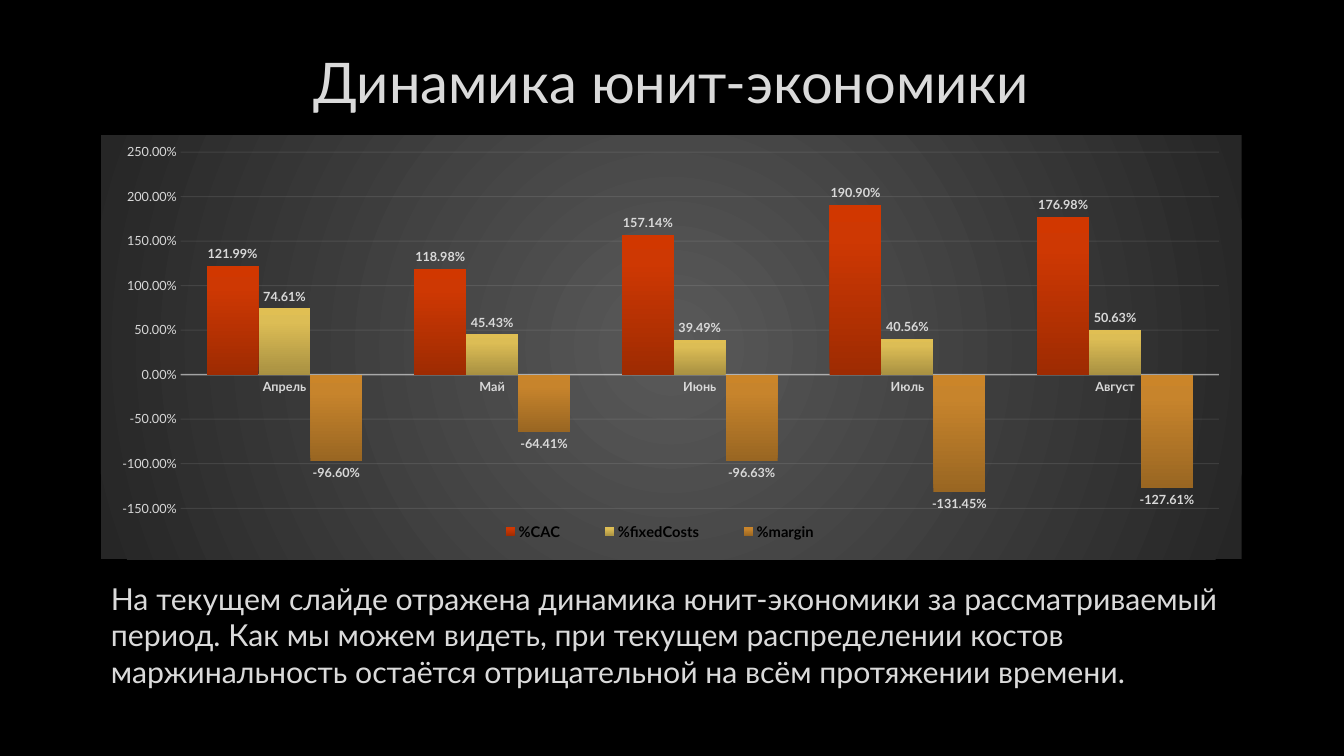
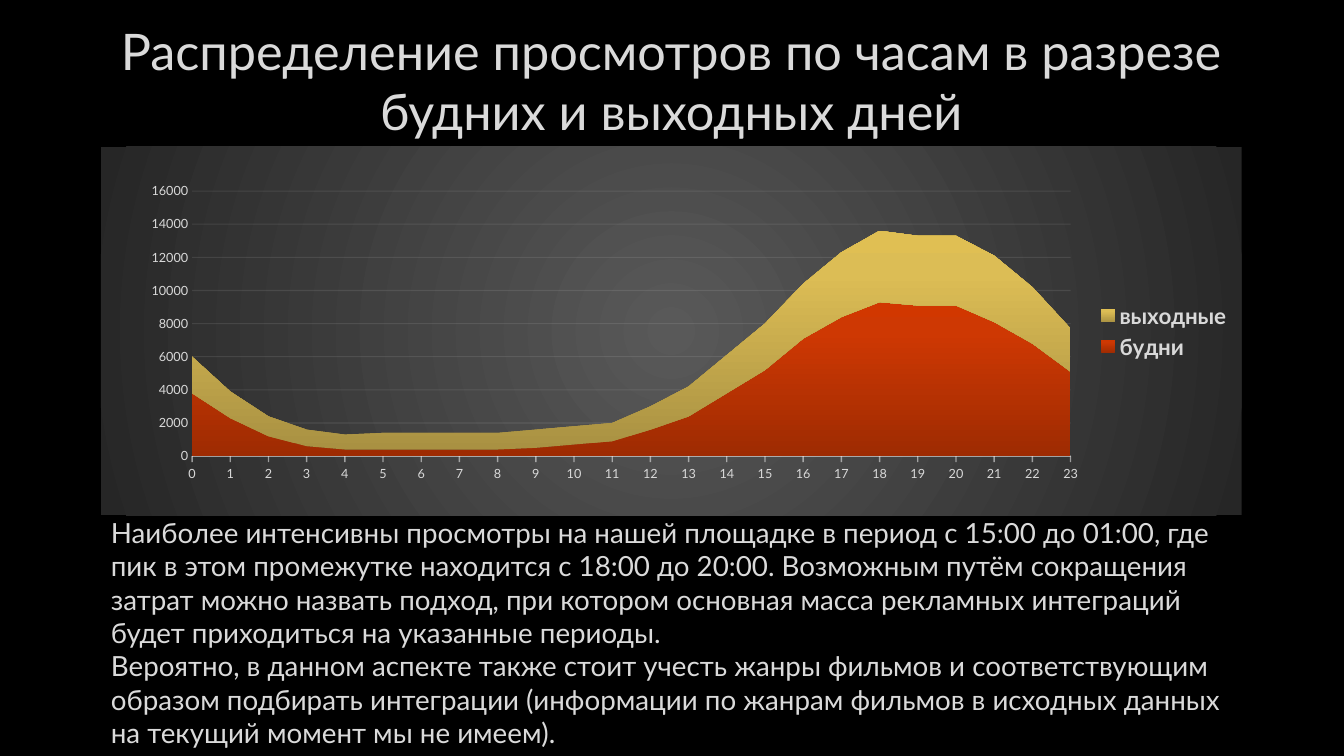
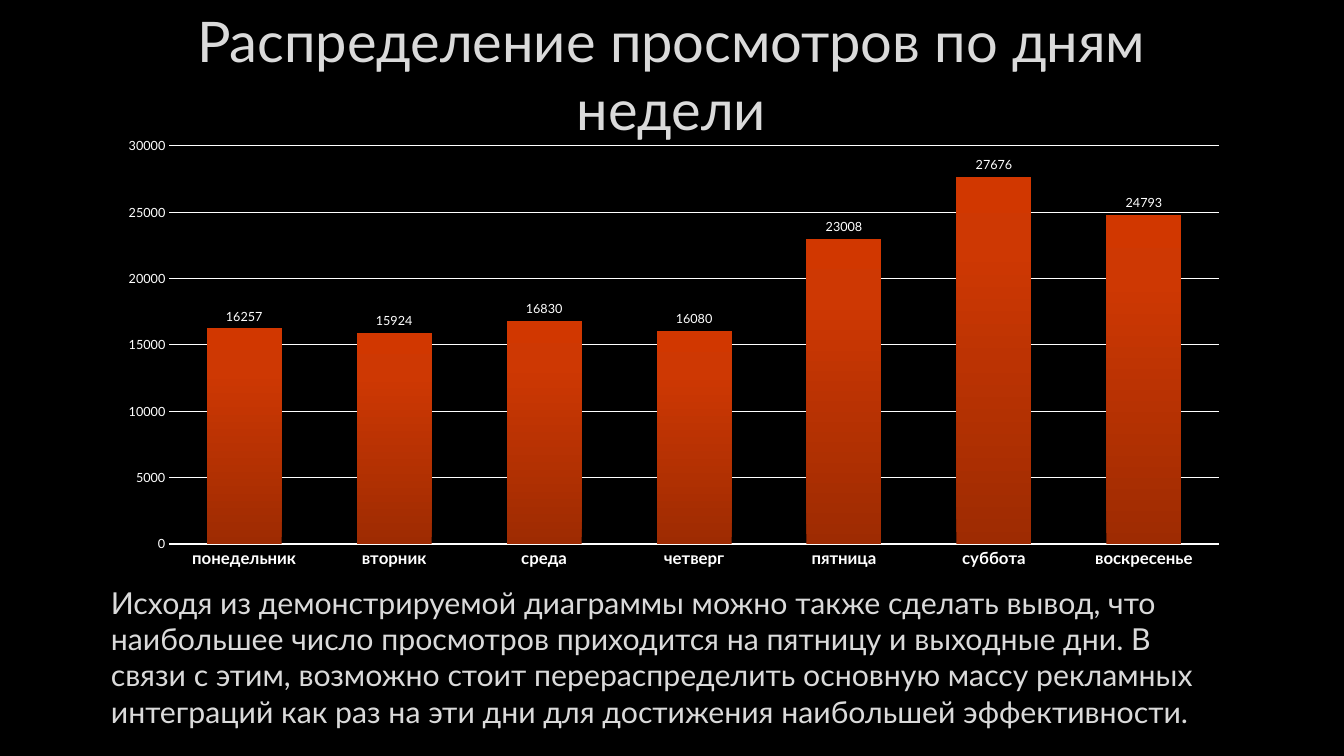
"""Three dark slides on unit economics and viewing times, each with a chart."""
from lxml import etree
from pptx import Presentation
from pptx import util as u
from pptx.chart.data import CategoryChartData
from pptx.dml.color import RGBColor
from pptx.enum import chart as ch
from pptx.enum import text
from pptx.oxml import parse_xml
from pptx.oxml.ns import nsdecls, qn

RED = [(0, "9E2B02"), (80, "CE3803"), (100, "D13700")]
YELLOW = [(0, "A99142"), (80, "DCBD55"), (100, "E0BF53")]
ORANGE = [(0, "996622"), (80, "C7842C"), (100, "CB8529")]
GRAY = [(0, "595959"), (100, "262626")]
UPWARD = '<a:lin ang="16200000" scaled="0"/>'
FROM_CENTRE = ('<a:path path="circle"><a:fillToRect l="50000" t="50000" '
               'r="50000" b="50000"/></a:path>')


def color(hex_code):
    return RGBColor.from_string(hex_code)


def gradient(stops, direction):
    marks = "".join(f'<a:gs pos="{pos * 1000}"><a:srgbClr val="{hex_code}"/></a:gs>'
                    for pos, hex_code in stops)
    return f"<a:gradFill {nsdecls('a')}><a:gsLst>{marks}</a:gsLst>{direction}</a:gradFill>"


def place(parent, box):
    """Give a plot area or legend a fixed box, in fractions of the chart."""
    old = parent.find(qn("c:layout"))
    if old is not None:
        parent.remove(old)
    target = '<c:layoutTarget val="inner"/>' if parent.tag == qn("c:plotArea") else ""
    modes = "".join(f'<c:{axis}Mode val="edge"/>' for axis in "xy")
    sizes = "".join(f'<c:{key} val="{part}"/>' for key, part in zip("xywh", box))
    layout = parse_xml(f"<c:layout {nsdecls('c')}><c:manualLayout>{target}{modes}{sizes}"
                       "</c:manualLayout></c:layout>")
    position = parent.find(qn("c:legendPos"))
    if position is None:
        parent.insert(0, layout)
    else:
        position.addnext(layout)


class Deck:
    FONT, INK, PALE, SOFT = "Lato", "DADADA", "D9D9D9", "F2F2F2"
    LEFT, WIDTH = 72, 815

    def __init__(self):
        self.prs = Presentation()
        self.prs.slide_width, self.prs.slide_height = u.Pt(960), u.Pt(540)
        backdrop = self.prs.slide_master.background.fill
        backdrop.solid()
        backdrop.fore_color.rgb = color("000000")
        self.slide = None

    def style(self, font, size, hex_code, bold=False):
        font.name, font.size, font.bold = self.FONT, u.Pt(size), bold
        font.color.rgb = color(hex_code)

    def line(self, line, hex_code, width, opacity=100):
        line.color.rgb, line.width = color(hex_code), u.Pt(width)
        if opacity < 100:
            for tint in line._ln.iter(qn("a:srgbClr")):
                etree.SubElement(tint, qn("a:alpha"), val=str(opacity * 1000))

    def words(self, holder, content, top, height, size, align):
        holder.left, holder.top = u.Pt(self.LEFT), u.Pt(top)
        holder.width, holder.height = u.Pt(self.WIDTH), u.Pt(height)
        frame = holder.text_frame
        frame.text = content
        frame.word_wrap, frame.auto_size = True, text.MSO_AUTO_SIZE.NONE
        frame.vertical_anchor = text.MSO_ANCHOR.MIDDLE
        for paragraph in frame.paragraphs:
            paragraph.alignment, paragraph.line_spacing = align, 1.0
            paragraph.space_before = u.Pt(0)
            self.style(paragraph.font, size, self.INK)
            properties = paragraph._p.get_or_add_pPr()
            properties.set("marL", "0")
            properties.set("indent", "0")
            properties.find(qn("a:defRPr")).addprevious(
                parse_xml(f"<a:buNone {nsdecls('a')}/>"))

    def title(self, content, top, size=40):
        self.slide = self.prs.slides.add_slide(self.prs.slide_layouts[1])
        self.words(self.slide.shapes.title, content, top, 76, size, text.PP_ALIGN.CENTER)

    def body(self, content, top, height, size=21.6):
        self.words(self.slide.placeholders[1], content, top, height, size, text.PP_ALIGN.LEFT)

    def chart(self, kind, top, height, categories, series, plot_box, number_format="General"):
        data = CategoryChartData(number_format=number_format)
        data.categories = categories
        for name, values, _ in series:
            data.add_series(name, values)
        chart = self.slide.shapes.add_chart(
            kind, u.Pt(self.LEFT), u.Pt(top), u.Pt(self.WIDTH), u.Pt(height), data).chart
        chart.has_title = chart.has_legend = False
        self.style(chart.font, 10, "FFFFFF")
        place(chart._chartSpace.chart.plotArea, plot_box)
        for drawn, (_, _, stops) in zip(chart.plots[0].series, series):
            drawn._element.get_or_add_spPr().insert(0, parse_xml(gradient(stops, UPWARD)))
        return chart

    def panel(self, chart):
        chart._chartSpace.chart.addnext(parse_xml(
            f"<c:spPr {nsdecls('c', 'a')}>{gradient(GRAY, FROM_CENTRE)}</c:spPr>"))

    def axes(self, chart, low, high, step, ink=PALE, rule=SOFT, axis_opacity=54,
             grid_opacity=10, label_size=9, bold=False, tick=ch.XL_TICK_MARK.NONE,
             number_format="General"):
        names, scale = chart.category_axis, chart.value_axis
        names.major_tick_mark, scale.major_tick_mark = tick, ch.XL_TICK_MARK.NONE
        self.style(names.tick_labels.font, label_size, ink, bold)
        self.style(scale.tick_labels.font, 9, ink)
        self.line(names.format.line, rule, 1, axis_opacity)
        scale.format.line.fill.background()
        scale.minimum_scale, scale.maximum_scale, scale.major_unit = low, high, step
        scale.has_major_gridlines = True
        self.line(scale.major_gridlines.format.line, rule, 0.75, grid_opacity)
        scale.tick_labels.number_format = number_format
        scale.tick_labels.number_format_is_linked = False

    def columns(self, chart, overlap, ink, bold=False, number_format="General"):
        plot = chart.plots[0]
        plot.gap_width, plot.overlap, plot.vary_by_categories = 100, overlap, False
        for series in plot.series:
            series.invert_if_negative = False
            labels = series.data_labels
            labels.show_value = True
            labels.position = ch.XL_LABEL_POSITION.OUTSIDE_END
            labels.number_format, labels.number_format_is_linked = number_format, False
            self.style(labels.font, 9, ink, bold)

    def legend(self, chart, position, size, ink, box=None):
        chart.has_legend = True
        chart.legend.position, chart.legend.include_in_layout = position, False
        self.style(chart.legend.font, size, ink, True)
        if box:
            place(chart.legend._element, box)


def unit_economics(deck):
    deck.title("Динамика юнит-экономики", 20)
    chart = deck.chart(
        ch.XL_CHART_TYPE.COLUMN_CLUSTERED, 96.5, 303,
        ["Апрель", "Май", "Июнь", "Июль", "Август"],
        [("%CAC", [1.2199, 1.1898, 1.5714, 1.9090, 1.7698], RED),
         ("%fixedCosts", [0.7461, 0.4543, 0.3949, 0.4056, 0.5063], YELLOW),
         ("%margin", [-0.9660, -0.6441, -0.9663, -1.3145, -1.2761], ORANGE)],
        (0.07, 0.04, 0.91, 0.84), "0.00%")
    deck.panel(chart)
    deck.axes(chart, -1.5, 2.5, 0.5, bold=True, number_format="0.00%")
    deck.columns(chart, 0, deck.PALE, True, "0.00%")
    deck.legend(chart, ch.XL_LEGEND_POSITION.BOTTOM, 10.5, "000000", (0.32, 0.9, 0.34, 0.07))
    deck.body("На текущем слайде отражена динамика юнит-экономики за рассматриваемый период. "
              "Как мы можем видеть, при текущем распределении костов маржинальность остаётся "
              "отрицательной на всём протяжении времени.", 415.5, 76)


def views_by_hour(deck):
    deck.title("Распределение просмотров по часам в разрезе будних и выходных дней", 19.5, 36)
    weekdays = [3800, 2300, 1200, 600, 400, 400, 400, 400, 400, 500, 700, 900, 1600, 2400,
                3800, 5200, 7100, 8400, 9300, 9100, 9100, 8100, 6800, 5100]
    weekends = [2200, 1600, 1200, 1000, 900, 1000, 1000, 1000, 1000, 1100, 1100, 1100, 1400,
                1800, 2300, 2800, 3300, 3900, 4300, 4200, 4200, 4000, 3400, 2600]
    chart = deck.chart(
        ch.XL_CHART_TYPE.AREA_STACKED, 105, 263, [str(hour) for hour in range(24)],
        [("будни", weekdays, RED), ("выходные", weekends, YELLOW)],
        (0.08, 0.12, 0.77, 0.72))
    deck.panel(chart)
    deck.axes(chart, 0, 16000, 2000, tick=ch.XL_TICK_MARK.OUTSIDE)
    deck.legend(chart, ch.XL_LEGEND_POSITION.RIGHT, 16, deck.PALE)
    deck.body("Наиболее интенсивны просмотры на нашей площадке в период с 15:00 до 01:00, где "
              "пик в этом промежутке находится с 18:00 до 20:00. Возможным путём сокращения "
              "затрат можно назвать подход, при котором основная масса рекламных интеграций "
              "будет приходиться на указанные периоды.\n"
              "Вероятно, в данном аспекте также стоит учесть жанры фильмов и соответствующим "
              "образом подбирать интеграции (информации по жанрам фильмов в исходных данных "
              "на текущий момент мы не имеем).", 376.5, 150.5, 19.8)


def views_by_weekday(deck):
    deck.title("Распределение просмотров по дням недели", 15)
    chart = deck.chart(
        ch.XL_CHART_TYPE.COLUMN_CLUSTERED, 91.5, 319.5,
        ["понедельник", "вторник", "среда", "четверг", "пятница", "суббота", "воскресенье"],
        [("Series 1", [16257, 15924, 16830, 16080, 23008, 27676, 24793], RED)],
        (0.06, 0.04, 0.92, 0.89))
    deck.axes(chart, 0, 30000, 5000, ink="FFFFFF", rule="FFFFFF", axis_opacity=100,
              grid_opacity=100, label_size=12, bold=True)
    deck.columns(chart, -24, "FFFFFF")
    deck.body("Исходя из демонстрируемой диаграммы можно также сделать вывод, что наибольшее "
              "число просмотров приходится на пятницу и выходные дни. В связи с этим, возможно "
              "стоит перераспределить основную массу рекламных интеграций как раз на эти дни "
              "для достижения наибольшей эффективности.", 411, 116)


def main():
    deck = Deck()
    for build in (unit_economics, views_by_hour, views_by_weekday):
        build(deck)
    deck.prs.save("out.pptx")


if __name__ == "__main__":
    main()
